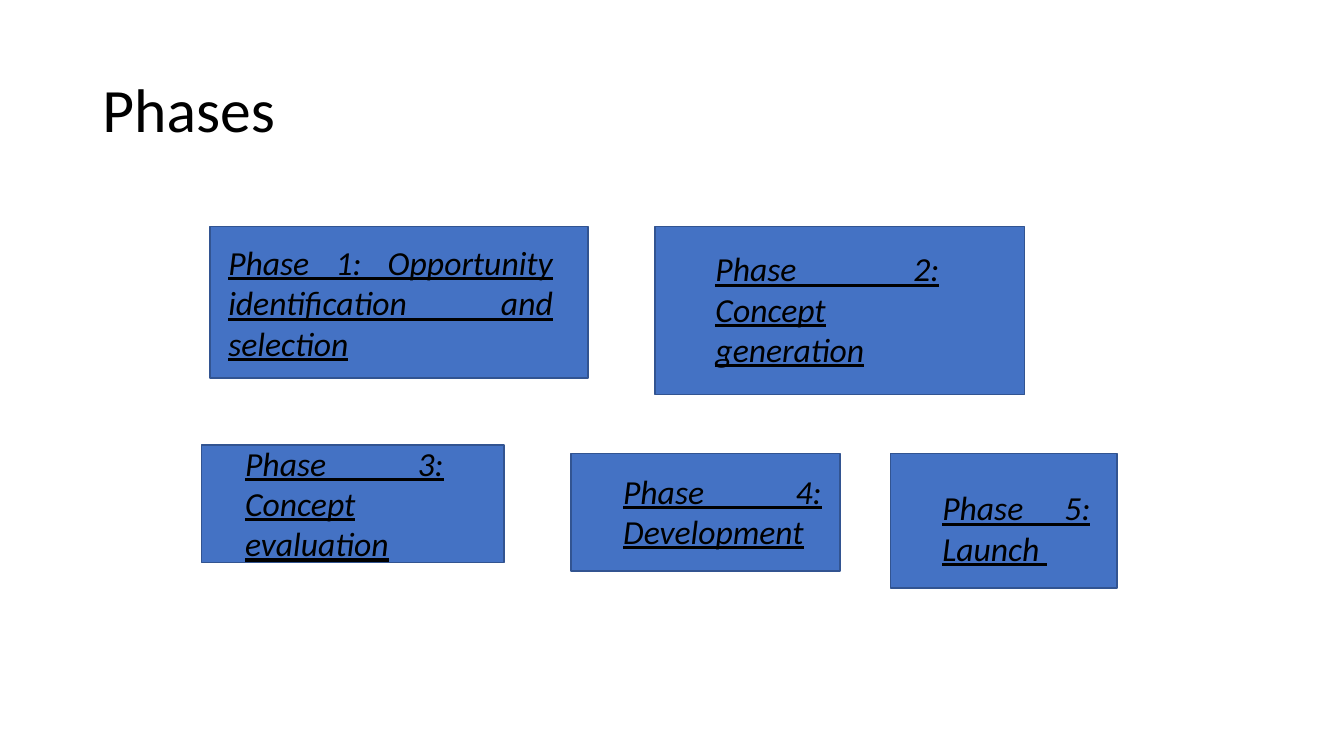
from typing import NamedTuple

from pptx import Presentation
from pptx.dml.color import RGBColor
from pptx.enum.shapes import MSO_SHAPE
from pptx.enum.text import MSO_ANCHOR, MSO_AUTO_SIZE, PP_ALIGN
from pptx.slide import Slide
from pptx.text.text import TextFrame
from pptx.util import Emu, Pt

EMU_PER_PX = 9525
FONT = "Calibri"
BLACK = "000000"
PHASE_FILL = "4472C4"
PHASE_LINE = "325491"


class Area(NamedTuple):
    left: int
    top: int
    width: int
    height: int


class Phase(NamedTuple):
    label: str
    panel: Area
    text: Area


TITLE_AREA = Area(88, 38, 1104, 139)
PHASES = [
    Phase("Phase 1: Opportunity identification and selection",
          Area(200, 216, 360, 144), Area(208, 225, 328, 126)),
    Phase("Phase 2: Concept generation",
          Area(624, 216, 352, 160), Area(672, 231, 232, 126)),
    Phase("Phase 3: Concept evaluation",
          Area(192, 424, 288, 112), Area(224, 416, 208, 126)),
    Phase("Phase 4: Development",
          Area(544, 432, 256, 112), Area(584, 443, 208, 87)),
    Phase("Phase 5: Launch ",
          Area(848, 432, 216, 128), Area(888, 459, 160, 87)),
]


def px(length: int) -> Emu:
    return Emu(length * EMU_PER_PX)


def scaled(area: Area) -> list[Emu]:
    return [px(length) for length in area]


def color(value: str) -> RGBColor:
    return RGBColor.from_string(value)


def write_text(frame: TextFrame, text: str, size: int, align: PP_ALIGN) -> None:
    frame.text = text
    frame.word_wrap = True
    frame.vertical_anchor = MSO_ANCHOR.MIDDLE
    para = frame.paragraphs[0]
    para.alignment = align
    font = para.runs[0].font
    font.name = FONT
    font.size = Pt(size)
    font.color.rgb = color(BLACK)


def add_title(page: Slide, text: str) -> None:
    title = page.shapes.title
    title.left, title.top, title.width, title.height = scaled(TITLE_AREA)
    write_text(title.text_frame, text, 44, PP_ALIGN.LEFT)
    title.text_frame.auto_size = MSO_AUTO_SIZE.NONE
    title.text_frame.paragraphs[0].line_spacing = 0.9


def add_phase(page: Slide, phase: Phase) -> None:
    panel = page.shapes.add_shape(MSO_SHAPE.RECTANGLE, *scaled(phase.panel))
    panel.shadow.inherit = False
    panel.fill.solid()
    panel.fill.fore_color.rgb = color(PHASE_FILL)
    panel.line.color.rgb = color(PHASE_LINE)
    panel.line.width = Pt(1)

    box = page.shapes.add_textbox(*scaled(phase.text))
    frame = box.text_frame
    write_text(frame, phase.label, 24, PP_ALIGN.JUSTIFY)
    frame.auto_size = MSO_AUTO_SIZE.SHAPE_TO_FIT_TEXT
    span = frame.paragraphs[0].runs[0]
    span.font.italic = True
    span.font.underline = True


def main() -> None:
    deck = Presentation()
    deck.slide_width = px(1280)
    deck.slide_height = px(720)
    page = deck.slides.add_slide(deck.slide_layouts.get_by_name("Title Only"))
    add_title(page, "Phases")
    for phase in PHASES:
        add_phase(page, phase)
    deck.save("out.pptx")


if __name__ == "__main__":
    main()
